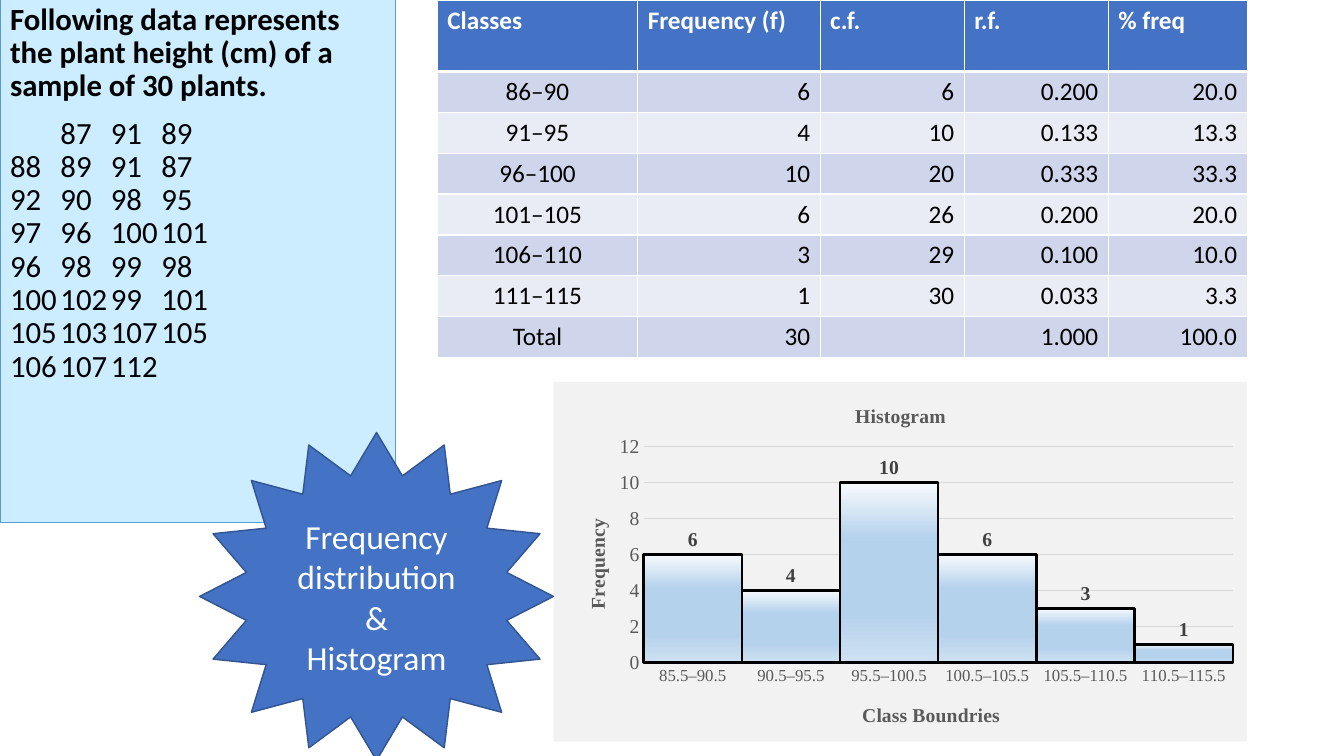
from dataclasses import dataclass

from pptx import Presentation, util as u
from pptx.chart.data import CategoryChartData
from pptx.dml.color import RGBColor
from pptx.enum import chart as ch, shapes, text
from pptx.oxml import ns, parse_xml


@dataclass(frozen=True)
class Theme:
    """Colours, fonts and type sizes of the slide."""
    ink: str = "000000"
    white: str = "FFFFFF"
    blue: str = "4472C4"
    edge: str = "325491"
    sky: str = "CCECFF"
    rim: str = "5B9BD5"
    bands: tuple = ("CFD5EA", "E9EBF5")
    panel: str = "F2F2F2"
    gray: str = "595959"
    dark: str = "404040"
    grid: str = "D9D9D9"
    stops: tuple = ((0, "F7FAFD"), (31, "B5D2EC"), (74, "B5D2EC"), (100, "CEE1F2"))
    sans: str = "Calibri"
    serif: str = "Times New Roman"
    star: int = 24
    body: int = 22
    cell: int = 18
    label: int = 14
    tick: int = 12


T = Theme()
INTRO = "Following data represents the plant height (cm) of a sample of 30 plants."
PLANTS = [
    ("", 87, 91, 89), (88, 89, 91, 87), (92, 90, 98, 95), (97, 96, 100, 101),
    (96, 98, 99, 98), (100, 102, 99, 101), (105, 103, 107, 105), (106, 107, 112),
]
HEAD = ("Classes", "Frequency (f)", "c.f.", "r.f.", "% freq")
ROWS = [
    ("86–90", "6", "6", "0.200", "20.0"),
    ("91–95", "4", "10", "0.133", "13.3"),
    ("96–100", "10", "20", "0.333", "33.3"),
    ("101–105", "6", "26", "0.200", "20.0"),
    ("106–110", "3", "29", "0.100", "10.0"),
    ("111–115", "1", "30", "0.033", "3.3"),
    ("Total", "30", "", "1.000", "100.0"),
]
WIDTHS = (5.05, 4.6, 3.63, 3.63, 3.5)
TALL, ROW = 1.8, 1.02
BARS = {"85.5–90.5": 6, "90.5–95.5": 4, "95.5–100.5": 10,
        "100.5–105.5": 6, "105.5–110.5": 3, "110.5–115.5": 1}
BADGE = ("Frequency distribution &", "Histogram")
TAB = 2.54
LEFT, CENTER, RIGHT = (text.PP_ALIGN.LEFT, text.PP_ALIGN.CENTER, text.PP_ALIGN.RIGHT)


def box(*sides):
    """Turn lengths in centimetres into slide lengths."""
    return [u.Cm(side) for side in sides]


def rgb(code):
    """Turn a hex code into a colour."""
    return RGBColor.from_string(code)


def style(font, size, color=T.ink, face=T.sans, bold=False):
    """Set the look of a font."""
    font.size, font.name, font.bold = u.Pt(size), face, bold
    font.color.rgb = rgb(color)


def write(frame, words, align=LEFT, first=True, **look):
    """Write one formatted paragraph into a text frame."""
    para = frame.paragraphs[0] if first else frame.add_paragraph()
    para.text, para.alignment = words, align
    for run in para.runs:
        style(run.font, **look)
    return para


def paint(part, fill, line, width):
    """Give a shape its fill and outline."""
    part.fill.solid()
    part.fill.fore_color.rgb = rgb(fill)
    part.line.color.rgb, part.line.width = rgb(line), u.Pt(width)


def add_data(slide):
    """Fill the body placeholder with the plant heights."""
    slide.shapes.title.element.getparent().remove(slide.shapes.title.element)
    body = slide.placeholders[1]
    body.left, body.top, body.width, body.height = box(0, -0.03, 9.96, 13.2)
    paint(body, T.sky, T.rim, 0.5)
    frame = body.text_frame
    frame.auto_size = text.MSO_AUTO_SIZE.NONE
    frame.vertical_anchor = text.MSO_ANCHOR.TOP
    grid = "\v".join("\t".join(map(str, row)) for row in PLANTS)
    stops = "".join(f'<a:tab pos="{u.Cm(TAB * n)}" algn="l"/>' for n in (1, 2, 3))
    for words, first in ((INTRO, True), (grid, False)):
        para = write(frame, words, first=first, size=T.body, bold=first)
        para.line_spacing, para.space_before = 0.9, u.Pt(10)
        props = para._p.get_or_add_pPr()
        props.set("marL", "0")
        props.set("indent", "0")
        props.append(parse_xml(f'<a:buNone {ns.nsdecls("a")}/>'))
        props.append(parse_xml(f'<a:tabLst {ns.nsdecls("a")}>{stops}</a:tabLst>'))


def edge(cell, top, low):
    """Draw the white borders of a cell."""
    props = cell._tc.get_or_add_tcPr()
    for spot, (side, width) in enumerate(zip("LRTB", (1, 1, top, low))):
        props.insert(spot, parse_xml(
            f'<a:ln{side} {ns.nsdecls("a")} w="{u.Pt(width)}"><a:solidFill>'
            f'<a:srgbClr val="{T.white}"/></a:solidFill></a:ln{side}>'))


def add_freq(slide):
    """Add the frequency table."""
    size = sum(WIDTHS), TALL + ROW * len(ROWS)
    table = slide.shapes.add_table(
        len(ROWS) + 1, len(HEAD), *box(11.02, 0, *size)).table
    for col, width in zip(table.columns, WIDTHS):
        col.width = u.Cm(width)
    for r, row in enumerate([HEAD] + ROWS):
        table.rows[r].height = u.Cm(ROW if r else TALL)
        for c, words in enumerate(row):
            cell = table.cell(r, c)
            cell.fill.solid()
            cell.fill.fore_color.rgb = rgb(T.bands[(r - 1) % 2] if r else T.blue)
            edge(cell, 3 if r == 1 else 1, 1 if r else 3)
            align = LEFT if r == 0 else RIGHT if c else CENTER
            write(cell.text_frame, words, align, size=T.cell, bold=r == 0,
                  color=T.ink if r else T.white)


def layout(x, y, w=None, h=None):
    """Make a manual chart layout from fractions of the chart."""
    inner = '<c:layoutTarget val="inner"/>' if w else ""
    modes = '<c:xMode val="edge"/><c:yMode val="edge"/>'
    sides = "".join(f'<c:{key} val="{val}"/>'
                    for key, val in zip("xywh", (x, y, w, h)) if val)
    return parse_xml(f'<c:layout {ns.nsdecls("c")}><c:manualLayout>{inner}{modes}'
                     f'{sides}</c:manualLayout></c:layout>')


def put(part, spot):
    """Replace the layout of a chart part."""
    for old in part.findall(ns.qn("c:layout")):
        part.remove(old)
    words = part.find(ns.qn("c:tx"))
    if words is None:
        part.insert(0, spot)
    else:
        words.addnext(spot)


def name(title, words, x, y):
    """Write and place a chart or axis title."""
    write(title.text_frame, words, CENTER, size=T.label, color=T.gray,
          face=T.serif, bold=True)
    put(title._element, layout(x, y))


def add_bars(slide):
    """Add the histogram."""
    data = CategoryChartData()
    data.categories = list(BARS)
    data.add_series("Series 1", list(BARS.values()))
    chart = slide.shapes.add_chart(ch.XL_CHART_TYPE.COLUMN_CLUSTERED,
                                   *box(13.95, 9.62, 17.47, 9.07), data).chart
    style(chart.font, T.tick, face=T.serif)
    chart.has_legend = False
    root = chart._chartSpace
    root.find(ns.qn("c:chart")).addnext(parse_xml(
        f'<c:spPr {ns.nsdecls("c", "a")}><a:solidFill><a:srgbClr val="{T.panel}"/>'
        '</a:solidFill><a:ln><a:noFill/></a:ln></c:spPr>'))
    put(root.find(".//" + ns.qn("c:plotArea")), layout(0.13, 0.18, 0.85, 0.6))

    cat, val = chart.category_axis, chart.value_axis
    name(chart.chart_title, "Histogram", 0.43, 0.05)
    name(cat.axis_title, "Class Boundries", 0.44, 0.88)
    name(val.axis_title, "Frequency", 0.04, 0.37)
    for axis, size in ((cat, T.tick), (val, T.label)):
        axis.major_tick_mark = axis.minor_tick_mark = ch.XL_TICK_MARK.NONE
        style(axis.tick_labels.font, size, T.gray, T.serif)
    val.minimum_scale, val.maximum_scale, val.major_unit = 0, 12, 2
    val.format.line.fill.background()
    for line in (cat.format.line, val.major_gridlines.format.line):
        line.color.rgb, line.width = rgb(T.grid), u.Pt(0.75)

    plot = chart.plots[0]
    plot.gap_width, plot.overlap, plot.vary_by_categories = 0, -100, False
    plot.has_data_labels = True
    labels = plot.data_labels
    labels.show_value, labels.position = True, ch.XL_LABEL_POSITION.OUTSIDE_END
    style(labels.font, T.label, T.dark, T.serif, True)
    bars = plot.series[0]
    bars.format.fill.gradient()
    bars.format.fill.gradient_angle = 270
    stops = bars._element.find(".//" + ns.qn("a:gsLst"))
    stops[:] = [parse_xml(f'<a:gs {ns.nsdecls("a")} pos="{pos * 1000}">'
                          f'<a:srgbClr val="{code}"/></a:gs>') for pos, code in T.stops]
    bars.format.line.color.rgb, bars.format.line.width = rgb(T.ink), u.Pt(1.75)


def add_star(slide):
    """Add the star badge."""
    star = slide.shapes.add_shape(shapes.MSO_SHAPE.STAR_16_POINT,
                                  *box(5.03, 10.9, 8.92, 8.26))
    star.shadow.inherit = False
    paint(star, T.blue, T.edge, 1)
    star.text_frame.word_wrap = True
    star.text_frame.vertical_anchor = text.MSO_ANCHOR.MIDDLE
    for n, words in enumerate(BADGE):
        write(star.text_frame, words, CENTER, n == 0, size=T.star, color=T.white)


deck = Presentation()
deck.slide_width, deck.slide_height = box(33.87, 19.05)
page = deck.slides.add_slide(deck.slide_layouts[1])
for add in (add_data, add_freq, add_bars, add_star):
    add(page)
deck.save("out.pptx")
